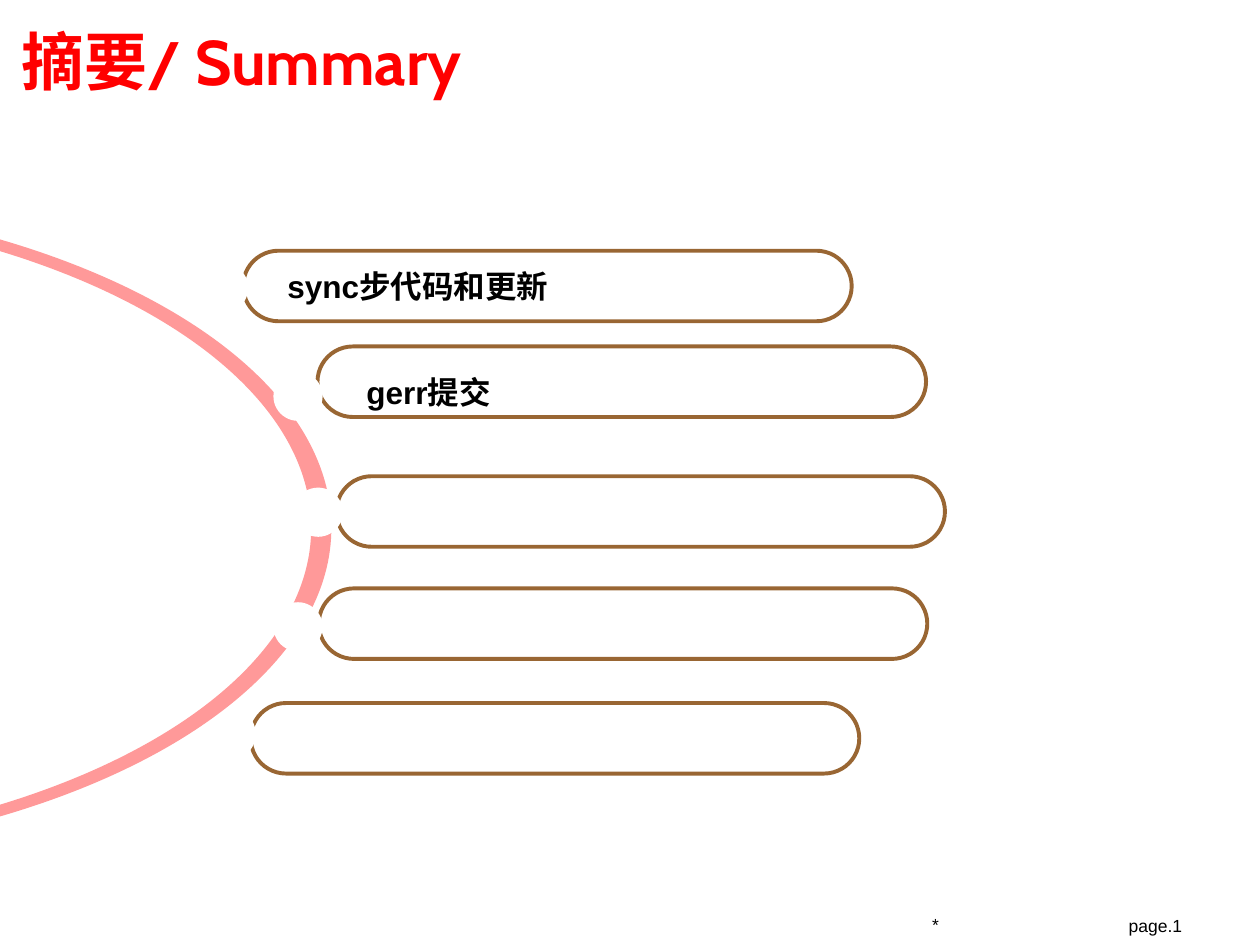
from dataclasses import dataclass

from lxml import etree
from pptx import Presentation
from pptx.dml.color import RGBColor
from pptx.enum.shapes import MSO_SHAPE
from pptx.enum.text import MSO_ANCHOR, MSO_AUTO_SIZE
from pptx.oxml.ns import qn
from pptx.util import Inches, Pt


@dataclass(frozen=True)
class Theme:
    red: RGBColor = RGBColor(0xFF, 0x00, 0x00)
    pink: RGBColor = RGBColor(0xFF, 0x99, 0x99)
    brown: RGBColor = RGBColor(0x99, 0x66, 0x33)
    black: RGBColor = RGBColor(0x00, 0x00, 0x00)
    white: RGBColor = RGBColor(0xFF, 0xFF, 0xFF)
    body_font: str = "Arial"
    title_font: str = "Cabin"
    title_size: float = 36
    slash_size: float = 35
    item_size: float = 18
    footer_size: float = 10


@dataclass(frozen=True)
class Bar:
    left: float
    top: float
    text: str = ""


@dataclass(frozen=True)
class Dot:
    left: float
    top: float
    width: float = 0.39


THEME = Theme()
BAR_WIDTH, BAR_HEIGHT = 4.83, 0.56
DOT_HEIGHT = 0.39
TEXT_INDENT = 0.03

# Back to front
BARS = [
    Bar(1.99, 5.58),
    Bar(2.53, 4.67),
    Bar(2.67, 3.78),
    Bar(2.52, 2.75),
    Bar(1.93, 1.99, "sync步代码和更新"),
]
DOTS = [Dot(1.58, 2.09), Dot(2.17, 2.95), Dot(2.33, 3.87), Dot(2.17, 4.78), Dot(1.67, 5.63, 0.36)]
# Offset of each nested disc, then how much narrower and shorter it is
DOT_LAYERS = [(0, 0, 0), (0.02, 0.05, 0.05), (0.04, 0.09, 0.09), (0.06, 0.14, 0.13), (0.06, 0.14, 0.14)]


def write_text(shape, *runs, size=THEME.item_size, font=THEME.body_font, color=THEME.black,
               bold=False, anchor=MSO_ANCHOR.TOP, inset=(0.1, 0.05), indent=TEXT_INDENT,
               wrap=True, grow=False):
    """Fill a shape with one paragraph; each run is text or a (text, size) pair."""
    frame = shape.text_frame
    frame.word_wrap = wrap
    frame.auto_size = MSO_AUTO_SIZE.SHAPE_TO_FIT_TEXT if grow else MSO_AUTO_SIZE.NONE
    frame.vertical_anchor = anchor
    frame.margin_left = frame.margin_right = Inches(inset[0])
    frame.margin_top = frame.margin_bottom = Inches(inset[1])
    para = frame.paragraphs[0]
    properties = para._p.get_or_add_pPr()
    properties.set("algn", "l")
    properties.set("marL", str(Inches(indent)))
    properties.set("indent", "0")
    for run in runs:
        text, points = (run, size) if isinstance(run, str) else run
        span = para.add_run()
        span.text = text
        span.font.size = Pt(points)
        span.font.name = font
        span.font.bold = bold
        span.font.color.rgb = color


def add_text(page, left: float, top: float, width: float, height: float, *runs, **style):
    box = page.shapes.add_textbox(Inches(left), Inches(top), Inches(width), Inches(height))
    write_text(box, *runs, **style)


def paint(shape, color: RGBColor) -> None:
    shape.shadow.inherit = False
    shape.fill.solid()
    shape.fill.fore_color.rgb = color
    shape.line.fill.background()


def half_ellipse(left: float, right: float, middle: float, radius: float) -> list:
    """Start, then two triples of Bezier points, for the right half of an ellipse."""
    pull = 0.55
    shoulder = left + pull * (right - left)
    upper = [(left, -radius), (shoulder, -radius), (right, -pull * radius)]
    lower = [(x, -y) for x, y in reversed(upper)]
    return [(x, middle + y) for x, y in upper + [(right, 0)] + lower]


def add_curved_outline(page, color: RGBColor, *arcs: list) -> None:
    """Join arcs with straight lines, turning each triple of points into a curve."""
    corners = [(Inches(x), Inches(y)) for arc in arcs for x, y in arc]
    builder = page.shapes.build_freeform(*corners[0], scale=1.0)
    builder.add_line_segments(corners[1:], close=True)
    shape = builder.convert_to_shape()
    paint(shape, color)
    outline = next(shape._element.iter(qn("a:path")))
    steps = list(outline)
    start = 1
    for _ in arcs:
        for first in (start, start + 3):
            curve = etree.Element(qn("a:cubicBezTo"))
            steps[first].addprevious(curve)
            for step in steps[first:first + 3]:
                curve.append(step[0])
                outline.remove(step)
        start += 7


def add_bar(page, bar: Bar) -> None:
    shape = page.shapes.add_shape(MSO_SHAPE.ROUNDED_RECTANGLE, Inches(bar.left), Inches(bar.top),
                                  Inches(BAR_WIDTH), Inches(BAR_HEIGHT))
    shape.adjustments[0] = 0.5
    shape.shadow.inherit = False
    shape.fill.background()
    shape.line.color.rgb = THEME.brown
    shape.line.width = Pt(2.25)
    if bar.text:
        write_text(shape, bar.text, bold=True, anchor=MSO_ANCHOR.MIDDLE, indent=0.17, wrap=False)


def add_dot(page, dot: Dot) -> None:
    group = page.shapes.add_group_shape()
    for offset, narrower, shorter in DOT_LAYERS:
        disc = group.shapes.add_shape(
            MSO_SHAPE.OVAL, Inches(dot.left + offset), Inches(dot.top + offset),
            Inches(dot.width - narrower), Inches(DOT_HEIGHT - shorter))
        paint(disc, THEME.white)


def main() -> None:
    deck = Presentation()
    deck.slide_width, deck.slide_height = Inches(10), Inches(7.5)
    page = deck.slides.add_slide(deck.slide_layouts[6])

    # Footer
    add_text(page, 8.83, 7.21, 0.95, 0.27, "page.1", size=THEME.footer_size, grow=True)
    add_text(page, 7.27, 6.95, 2.33, 0.52, "*", size=THEME.footer_size, anchor=MSO_ANCHOR.BOTTOM)

    # Pink arc and the white half disc inside it
    inner = half_ellipse(-2.59, 2.47, 4.19, 2.56)
    outer = half_ellipse(-2.59, 2.63, 4.19, 2.64)
    add_curved_outline(page, THEME.pink, inner, outer[::-1])
    add_curved_outline(page, THEME.white, half_ellipse(-2.13, 2.16, 4.24, 2.2))

    # Agenda bars and the dots that join them to the arc
    for bar in BARS:
        add_bar(page, bar)
    for dot in DOTS:
        add_dot(page, dot)

    # Title and the second agenda item
    add_text(page, 0.13, 0.11, 9.22, 0.74, "摘要", ("/ ", THEME.slash_size), "Summary",
             size=THEME.title_size, font=THEME.title_font, color=THEME.red, bold=True,
             anchor=MSO_ANCHOR.MIDDLE, inset=(0.04, 0.04), indent=0)
    add_text(page, 2.78, 2.91, 2.46, 0.4, "gerr提交", bold=True)

    deck.save("out.pptx")


if __name__ == "__main__":
    main()
